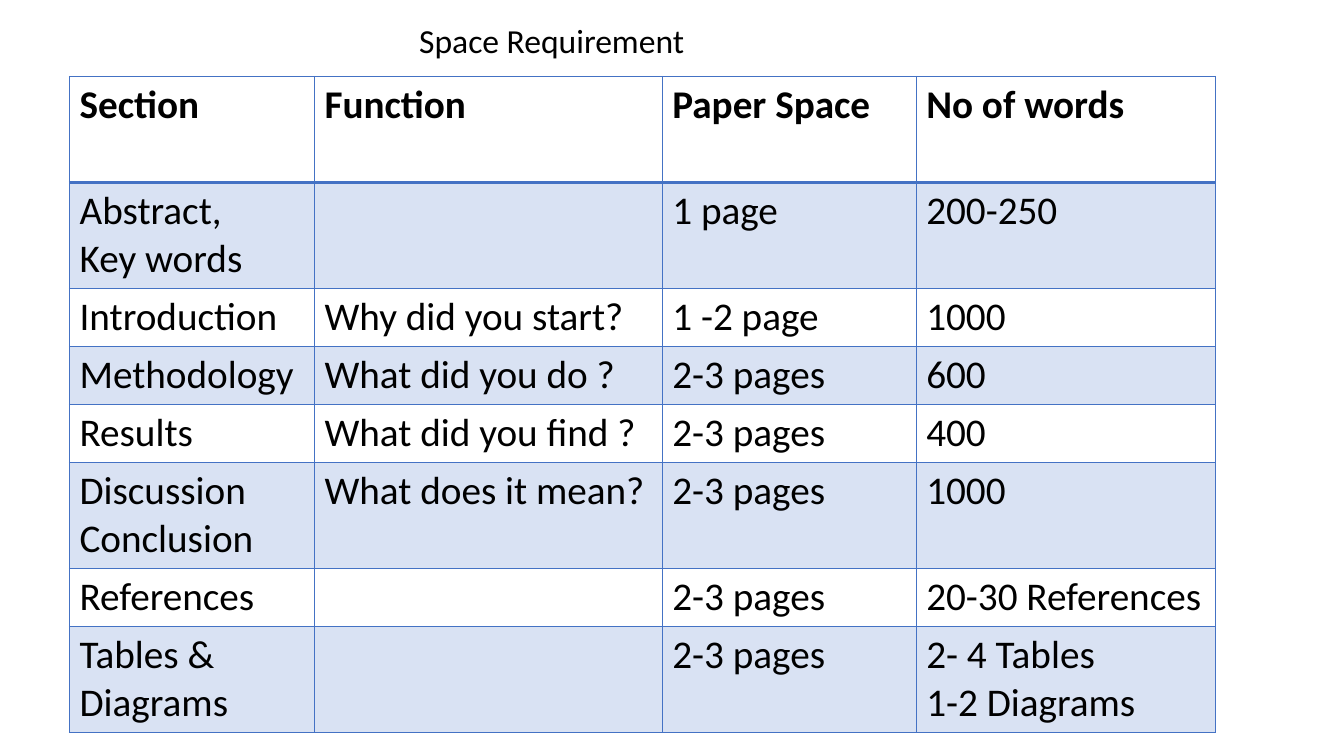
from lxml.etree import SubElement
from pptx import Presentation
from pptx.dml.color import RGBColor
from pptx.oxml import parse_xml
from pptx.oxml.ns import nsdecls, qn
from pptx.util import Pt

COLOURS = {"text": "000000", "accent": "4472C4"}
FONT = "Calibri"
BAND_OPACITY = 20

COLUMN_WIDTHS = [175, 248.4, 181.4, 213.8]
LINE_HEIGHT = 34.2
CELL_MARGINS = 7.2

# Each row: number of text lines it holds, then its four cells
HEADER = (2, ["Section", "Function", "Paper Space", "No of words"])
SECTIONS = [
    (2, ["Abstract,\nKey words", "", "1 page", "200-250"]),
    (1, ["Introduction", "Why did you start?", "1 -2 page", "1000"]),
    (1, ["Methodology", "What did you do ?", "2-3 pages", "600"]),
    (1, ["Results", "What did you find ?", "2-3 pages", "400"]),
    (2, ["Discussion Conclusion", "What does it mean?", "2-3 pages", "1000"]),
    (1, ["References", "", "2-3 pages", "20-30 References"]),
    (2, ["Tables & Diagrams", "", "2-3 pages", "2- 4 Tables\n1-2 Diagrams"]),
]


def write_text(frame, text, size, bold=False, colour="text"):
    frame.word_wrap = True
    frame.text = text
    for paragraph in frame.paragraphs:
        font = paragraph.font
        font.name, font.size, font.bold = FONT, Pt(size), bold
        font.color.rgb = RGBColor.from_string(COLOURS[colour])
        for run in paragraph.runs:
            run.font.name, run.font.size, run.font.bold = FONT, Pt(size), bold
            run.font.color.rgb = RGBColor.from_string(COLOURS[colour])


def fill_cell(cell, banded):
    if not banded:
        cell.fill.background()
        return
    cell.fill.solid()
    cell.fill.fore_color.rgb = RGBColor.from_string(COLOURS["accent"])
    colour = cell._tc.tcPr.find(".//" + qn("a:srgbClr"))
    SubElement(colour, qn("a:alpha"), val=str(BAND_OPACITY * 1000))


def border_cell(cell, top, bottom):
    # Borders must precede the fill in the cell properties
    widths = {"lnL": 1, "lnR": 1, "lnT": top, "lnB": bottom}
    for position, (side, width) in enumerate(widths.items()):
        line = parse_xml(
            f'<a:{side} {nsdecls("a")} w="{Pt(width)}"><a:solidFill>'
            f'<a:srgbClr val="{COLOURS["accent"]}"/></a:solidFill></a:{side}>')
        cell._tc.get_or_add_tcPr().insert(position, line)


def add_title(slide, text):
    title = slide.shapes.add_textbox(Pt(292.3), Pt(10.8), Pt(216), Pt(36))
    write_text(title.text_frame, text, size=24)


def add_requirements(slide, rows):
    heights = [lines * LINE_HEIGHT + CELL_MARGINS for lines, _ in rows]
    table = slide.shapes.add_table(
        len(rows), len(COLUMN_WIDTHS), Pt(49.7), Pt(54.7),
        Pt(sum(COLUMN_WIDTHS)), Pt(sum(heights))).table
    table.first_row = table.horz_banding = False
    for column, width in zip(table.columns, COLUMN_WIDTHS):
        column.width = Pt(width)
    for index, (_, texts) in enumerate(rows):
        table.rows[index].height = Pt(heights[index])
        for cell, text in zip(table.rows[index].cells, texts):
            write_text(cell.text_frame, text, size=28, bold=index == 0)
            fill_cell(cell, banded=index % 2 == 1)
            border_cell(cell, top=2 if index == 1 else 1,
                        bottom=2 if index == 0 else 1)


def main():
    presentation = Presentation()
    presentation.slide_width, presentation.slide_height = Pt(960), Pt(540)
    slide = presentation.slides.add_slide(presentation.slide_layouts[6])
    add_requirements(slide, [HEADER] + SECTIONS)
    add_title(slide, "Space Requirement")
    presentation.save("out.pptx")


if __name__ == "__main__":
    main()
